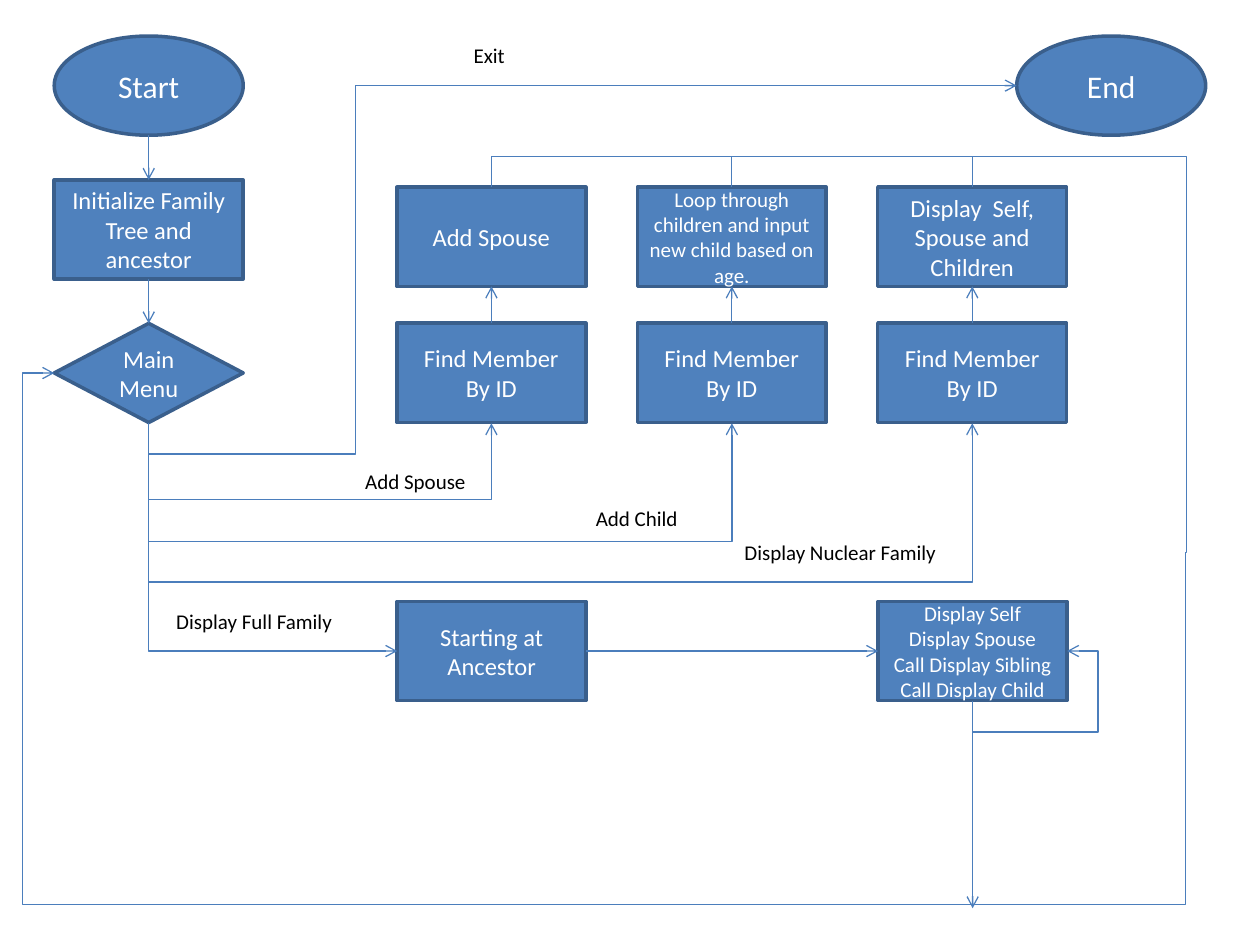
from lxml import etree
from pptx import Presentation
from pptx.dml.color import RGBColor
from pptx.enum.shapes import MSO_CONNECTOR, MSO_SHAPE
from pptx.enum.text import MSO_ANCHOR, MSO_AUTO_SIZE, PP_ALIGN
from pptx.oxml.ns import qn
from pptx.util import Pt

OVAL = MSO_SHAPE.OVAL
RECTANGLE = MSO_SHAPE.RECTANGLE
DECISION = MSO_SHAPE.FLOWCHART_DECISION
STRAIGHT, ELBOW = MSO_CONNECTOR.STRAIGHT, MSO_CONNECTOR.ELBOW
CENTER, MIDDLE = PP_ALIGN.CENTER, MSO_ANCHOR.MIDDLE
FIT_SHAPE = MSO_AUTO_SIZE.SHAPE_TO_FIT_TEXT

FONT = "Calibri"
COLORS = {"fill": "4F81BD", "border": "3A5F8C", "line": "4B7EBC",
          "node_text": "FFFFFF", "label": "000000"}
NODE_WIDTH, NODE_HEIGHT = 108, 56.7
COLUMN_STEP = 137.4


def color(name):
    return RGBColor.from_string(COLORS[name])


def add_text(paragraph, text, size, color_name):
    run = paragraph.add_run()
    run.text = text
    run.font.name = FONT
    run.font.size = Pt(size)
    run.font.color.rgb = color(color_name)


def add_node(slide, kind, left, top, lines, size=14):
    """Draw a flowchart node and return its four side points."""
    shape = slide.shapes.add_shape(kind, Pt(left), Pt(top), Pt(NODE_WIDTH), Pt(NODE_HEIGHT))
    shape.shadow.inherit = False
    shape.fill.solid()
    shape.fill.fore_color.rgb = color("fill")
    shape.line.color.rgb = color("border")
    shape.line.width = Pt(2)
    frame = shape.text_frame
    frame.word_wrap = True
    frame.vertical_anchor = MIDDLE
    for index, line in enumerate(lines):
        paragraph = frame.add_paragraph() if index else frame.paragraphs[0]
        paragraph.alignment = CENTER
        add_text(paragraph, line, size, "node_text")
    center, middle = left + NODE_WIDTH / 2, top + NODE_HEIGHT / 2
    return {"top": (center, top), "bottom": (center, top + NODE_HEIGHT),
            "left": (left, middle), "right": (left + NODE_WIDTH, middle)}


def add_label(slide, left, top, width, text):
    box = slide.shapes.add_textbox(Pt(left), Pt(top), Pt(width), Pt(21.8))
    box.text_frame.word_wrap = False
    box.text_frame.auto_size = FIT_SHAPE
    add_text(box.text_frame.paragraphs[0], text, 12, "label")


def add_line(slide, start, end, arrow=True, kind=STRAIGHT):
    connector = slide.shapes.add_connector(kind, *(Pt(value) for value in (*start, *end)))
    connector.line.color.rgb = color("line")
    connector.line.width = Pt(0.75)
    properties = connector._element.spPr
    etree.SubElement(properties, qn("a:effectLst"))
    if arrow:
        etree.SubElement(properties.find(qn("a:ln")), qn("a:tailEnd"), type="arrow")
    return connector


def add_bent_line(slide, start, end, turn_y=None, turn_x=None, arrow=True):
    """Draw an elbow that leaves vertically, turning at turn_y and then turn_x."""
    connector = add_line(slide, start, end, arrow, ELBOW)
    across, down = end[0] - start[0], end[1] - start[1]
    width, height = abs(down), abs(across)
    connector.left = Pt((start[0] + end[0] - width) / 2)
    connector.top = Pt((start[1] + end[1] - height) / 2)
    connector.width, connector.height = Pt(width), Pt(height)
    connector.rotation = 90
    transform = connector._element.spPr.find(qn("a:xfrm"))
    transform.set("flipH", str(int(down < 0)))
    transform.set("flipV", str(int(across > 0)))

    # Turns are fractions of the distance from start to end
    turns = []
    if turn_y is not None:
        turns.append((turn_y - start[1]) / down)
    if turn_x is not None:
        turns.append((turn_x - start[0]) / across)
    geometry = connector._element.spPr.find(qn("a:prstGeom"))
    geometry.set("prst", f"bentConnector{len(turns) + 2}")
    adjustments = geometry.find(qn("a:avLst"))
    for index, turn in enumerate(turns, 1):
        etree.SubElement(adjustments, qn("a:gd"), name=f"adj{index}",
                         fmla=f"val {round(turn * 100000)}")


def draw_start_column(slide, left, top):
    start = add_node(slide, OVAL, left, top, ["Start"], 18)
    setup = add_node(slide, RECTANGLE, left, top + 82.2,
                     ["Initialize Family Tree and ancestor"])
    menu = add_node(slide, DECISION, left, top + 164.2, ["Main Menu"])
    add_line(slide, start["bottom"], setup["top"])
    add_line(slide, setup["bottom"], menu["top"])
    return menu


def draw_commands(slide, left, top):
    """Draw each action above the search that leads to it."""
    actions = [("Add Spouse", 14),
               ("Loop through children and input new child based on age.", 12),
               ("Display  Self, Spouse and Children", 14)]
    columns = []
    for index, (text, size) in enumerate(actions):
        column_left = left + index * COLUMN_STEP
        action = add_node(slide, RECTANGLE, column_left, top, [text], size)
        search = add_node(slide, RECTANGLE, column_left, top + 77.7, ["Find Member By ID"])
        add_line(slide, search["top"], action["bottom"])
        columns.append((action, search))
    return columns


def draw_family_display(slide, left, top):
    ancestor = add_node(slide, RECTANGLE, left, top, ["Starting at Ancestor"])
    display = add_node(slide, RECTANGLE, left + 2 * COLUMN_STEP, top,
                       ["Display Self", "Display Spouse", "Call Display Sibling",
                        "Call Display Child"], 12)
    add_line(slide, ancestor["right"], display["left"])
    # Recursive call and return
    x, y = display["bottom"]
    add_bent_line(slide, (x, y), display["right"], y + 18, x + 71.6)
    add_line(slide, (x, y), (x, y + 118.6))
    return ancestor


def draw_menu_routes(slide, menu, end, columns, ancestor):
    x, y = menu["bottom"]
    add_bent_line(slide, (x, y), end["left"], y + 18, x + 118)
    for (_, search), drop in zip(columns, (44.2, 68.4, 91.8)):
        target_x, target_y = search["bottom"]
        add_bent_line(slide, (x, y), (target_x, target_y + 0.5), y + drop)
    add_bent_line(slide, (x, y), ancestor["left"])
    for across, down, width, text in [
            (178.5, -220.7, 32.4, "Exit"), (116.6, 22.7, 72.7, "Add Spouse"),
            (248.4, 43.6, 61.9, "Add Child"), (333.3, 63, 125.3, "Display Nuclear Family"),
            (8.6, 102.6, 104.4, "Display Full Family")]:
        add_label(slide, x + across, y + down, width, text)


def draw_return_loop(slide, menu, columns):
    """Collect the finished actions and lead back to the menu."""
    first, *others = [action["top"] for action, _ in columns]
    junction = (677.5, 315.4)
    rail_y = first[1] - 17.6
    add_bent_line(slide, first, junction, rail_y, junction[0] + 0.5, arrow=False)
    for x, y in others:
        add_line(slide, (x, y), (x, rail_y), arrow=False)
    add_bent_line(slide, junction, menu["left"], 516.7, menu["left"][0] - 18)


presentation = Presentation()
presentation.slide_width, presentation.slide_height = Pt(720), Pt(540)
slide = presentation.slides.add_slide(presentation.slide_layouts[6])

main_menu = draw_start_column(slide, 31, 20.6)
end_node = add_node(slide, OVAL, 581, 20.6, ["End"], 18)
command_columns = draw_commands(slide, 226.8, 107)
ancestor_node = draw_family_display(slide, 227, 343.7)
draw_menu_routes(slide, main_menu, end_node, command_columns, ancestor_node)
draw_return_loop(slide, main_menu, command_columns)

presentation.save("out.pptx")
